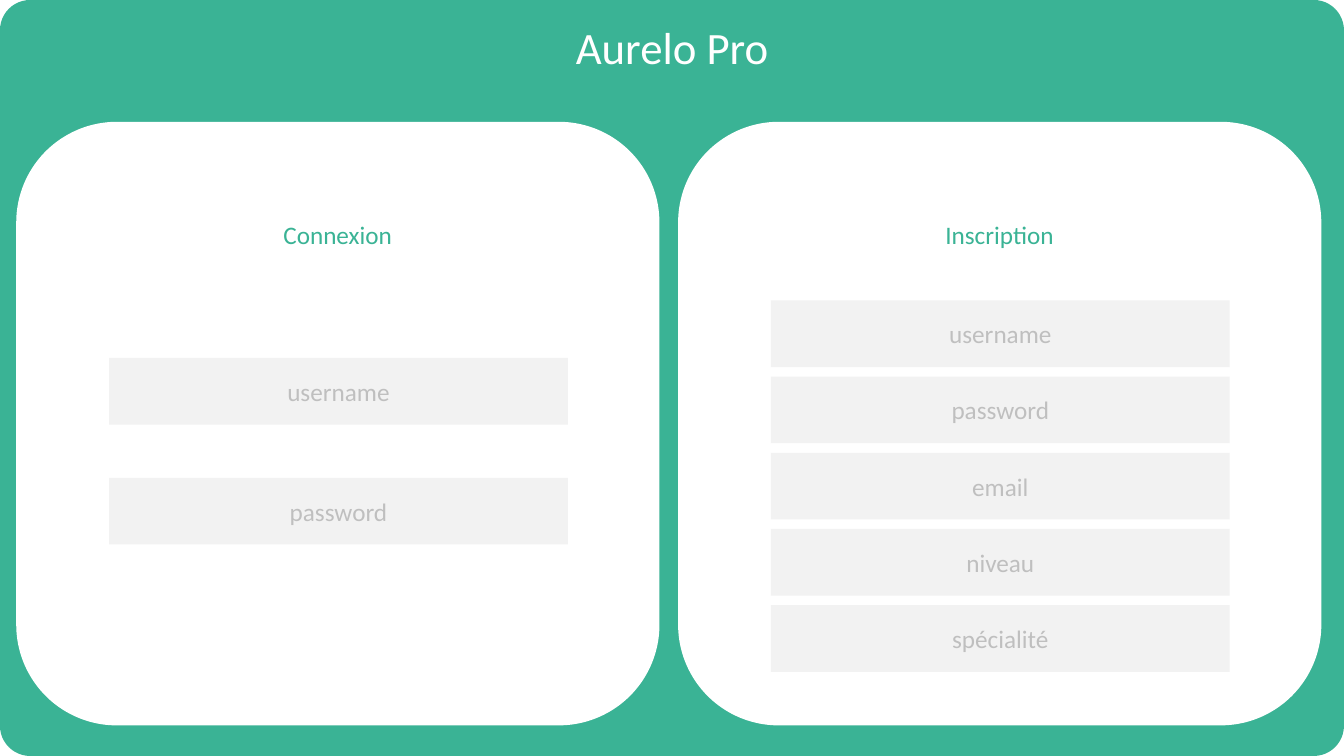
from dataclasses import dataclass

from pptx import Presentation
from pptx.dml.color import RGBColor
from pptx.enum.shapes import MSO_SHAPE as Shp
from pptx.enum.text import MSO_ANCHOR as Anchor, PP_ALIGN as Align
from pptx.shapes.autoshape import Shape
from pptx.slide import Slide
from pptx.text.text import TextFrame
from pptx.util import Cm, Pt


@dataclass(frozen=True)
class Theme:
    """Colours, font and type sizes of the slide."""
    green: str = "3AB395"
    white: str = "FFFFFF"
    field: str = "F2F2F2"
    hint: str = "BFBFBF"
    font: str = "Calibri"
    title: int = 32
    body: int = 18


@dataclass(frozen=True)
class Box:
    """A rectangle in centimetres."""
    left: float
    top: float
    width: float
    height: float

    def lengths(self) -> tuple[Cm, Cm, Cm, Cm]:
        """Return the four lengths that python-pptx expects."""
        return Cm(self.left), Cm(self.top), Cm(self.width), Cm(self.height)


@dataclass(frozen=True)
class Panel:
    """A form with a heading and evenly spaced fields."""
    heading: str
    left: float
    first_top: float
    pitch: float
    fields: tuple[str, ...]


THEME = Theme()
WIDTH, HEIGHT = 33.87, 19.05
PANELS = (
    Panel("Connexion", 0.41, 9.02, 3.02, ("username", "password")),
    Panel("Inscription", 17.09, 7.57, 1.92,
          ("username", "password", "email", "niveau", "spécialité")),
)


def write(tf: TextFrame, text: str, *, size: int = THEME.body,
          color: str = THEME.green, anchor: Anchor = Anchor.TOP) -> None:
    """Write one centred line into a text frame."""
    tf.word_wrap = True
    tf.vertical_anchor = anchor
    p = tf.paragraphs[0]
    p.alignment = Align.CENTER
    r = p.add_run()
    r.text = text
    r.font.name = THEME.font
    r.font.size = Pt(size)
    r.font.color.rgb = RGBColor.from_string(color)


def add_block(s: Slide, kind: Shp, box: Box, fill: str) -> Shape:
    """Add a flat filled shape without an outline."""
    sp = s.shapes.add_shape(kind, *box.lengths())
    sp.shadow.inherit = False
    sp.fill.solid()
    sp.fill.fore_color.rgb = RGBColor.from_string(fill)
    sp.line.fill.background()
    return sp


def add_label(s: Slide, box: Box, text: str, *, size: int = THEME.body,
              color: str = THEME.green) -> None:
    """Add a text box with one centred line."""
    write(s.shapes.add_textbox(*box.lengths()).text_frame, text, size=size, color=color)


def add_panel(s: Slide, panel: Panel) -> None:
    """Draw a form panel with its heading and fields."""
    add_block(s, Shp.ROUNDED_RECTANGLE, Box(panel.left, 3.07, 16.21, 15.21), THEME.white)
    add_label(s, Box(panel.left + 4.11, 5.41, 7.98, 1.68), panel.heading)
    for i, name in enumerate(panel.fields):
        box = Box(panel.left + 2.34, panel.first_top + i * panel.pitch, 11.56, 1.68)
        sp = add_block(s, Shp.RECTANGLE, box, THEME.field)
        write(sp.text_frame, name, color=THEME.hint, anchor=Anchor.MIDDLE)


def main() -> None:
    """Build the login slide and save it."""
    prs = Presentation()
    prs.slide_width, prs.slide_height = Cm(WIDTH), Cm(HEIGHT)
    s = prs.slides.add_slide(prs.slide_layouts[6])
    frame = add_block(s, Shp.ROUNDED_RECTANGLE, Box(0, 0, WIDTH, HEIGHT), THEME.green)
    frame.adjustments[0] = 0.04
    for panel in PANELS:
        add_panel(s, panel)
    add_label(s, Box(11.71, 0.36, 10.46, 2.57), "Aurelo Pro",
              size=THEME.title, color=THEME.white)
    prs.save("out.pptx")


if __name__ == "__main__":
    main()
